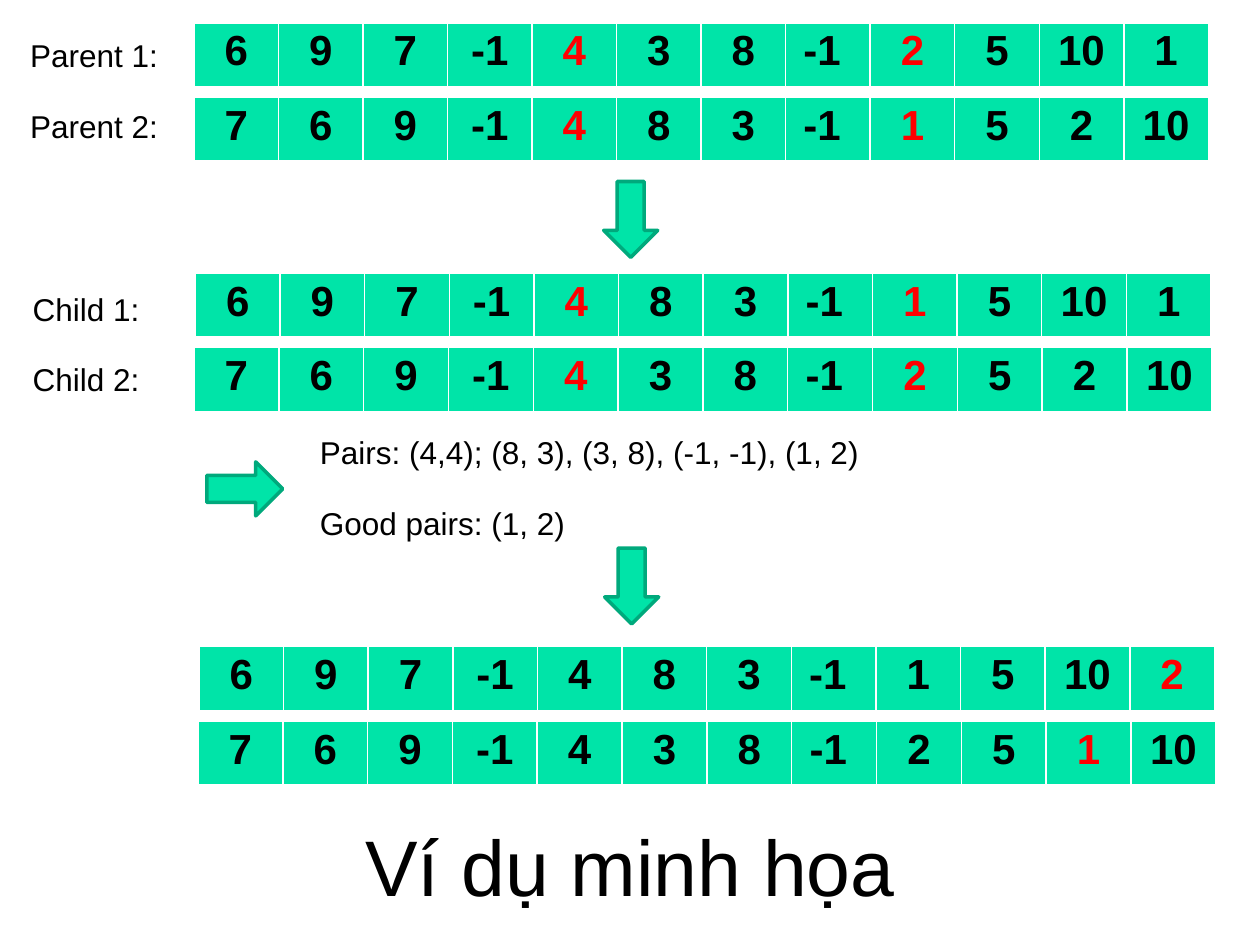
import pptx
import pptx.util
import pptx.dml.color
import pptx.enum.shapes
import pptx.enum.text
import lxml.etree
from pptx.util import Cm

HUES = {"mint": "00E4A8", "edge": "00A97C", "ink": "000000", "red": "FF0000", "white": "FFFFFF"}
FONT = "Arial"
NS = "http://schemas.openxmlformats.org/drawingml/2006/main"

TITLE = "Ví dụ minh họa"
ROWS = [
    (3.91, 0.46, 20.45, ["6", "9", "7", "-1", "4", "3", "8", "-1 ", "2", "5", "10", "1"], (4, 8)),
    (3.91, 1.96, 20.45, ["7", "6", "9", "-1", "4", "8", "3", "-1 ", "1", "5", "2", "10"], (4, 8)),
    (3.94, 5.51, 20.48, ["6", "9", "7", "-1", "4", "8", "3", "-1 ", "1", "5", "10", "1"], (4, 8)),
    (3.91, 7.01, 20.52, ["7", "6", "9", "-1", "4", "3", "8", "-1 ", "2", "5", "2", "10"], (4, 8)),
    (4.01, 13.03, 20.48, ["6", "9", "7", "-1", "4", "8", "3", "-1 ", "1", "5", "10", "2"], (11,)),
    (3.99, 14.54, 20.52, ["7", "6", "9", "-1", "4", "3", "8", "-1 ", "2", "5", "1", "10"], (10,)),
]
NOTES = [
    (0.36, 0.61, 7.62, ["Parent 1:", "Parent 2:"]),
    (0.41, 5.72, 7.62, ["Child 1:", "Child 2:"]),
    (6.2, 8.61, 13.03, ["Pairs: (4,4); (8, 3), (3, 8), (-1, -1), (1, 2)", "Good pairs: (1, 2)"]),
]
ARROWS = [(12.17, 3.66, 0), (4.39, 9.09, 270), (12.19, 11.05, 0)]
HIGH = 1.32
STEP = 1.42
EDGES = {"lnL": 1, "lnR": 1, "lnT": 1, "lnB": 3}


def hue(name):
    return pptx.dml.color.RGBColor.from_string(HUES[name])


def write(frame, text, size=18, color="ink", bold=False, align="LEFT", space=None):
    para = frame.paragraphs[0]
    para.alignment = getattr(pptx.enum.text.PP_ALIGN, align)
    para.line_spacing = space
    run = para.add_run()
    run.text = text
    run.font.name = FONT
    run.font.size = pptx.util.Pt(size)
    run.font.bold = bold
    run.font.color.rgb = hue(color)


def border(cell):
    props = cell._tc.get_or_add_tcPr()
    for tag, wide in EDGES.items():
        line = lxml.etree.SubElement(props, f"{{{NS}}}{tag}", w=str(pptx.util.Pt(wide)))
        fill = lxml.etree.SubElement(line, f"{{{NS}}}solidFill")
        lxml.etree.SubElement(fill, f"{{{NS}}}srgbClr", val=HUES["white"])


def strip(slide, left, top, wide, genes, marks):
    table = slide.shapes.add_table(1, len(genes), Cm(left), Cm(top), Cm(wide), Cm(HIGH)).table
    table.first_row = False
    table.horz_banding = False
    for spot, gene in enumerate(genes):
        cell = table.cell(0, spot)
        cell.margin_left = cell.margin_right = Cm(0.23)
        cell.margin_top = cell.margin_bottom = Cm(0.1)
        border(cell)
        cell.fill.solid()
        cell.fill.fore_color.rgb = hue("mint")
        color = "red" if spot in marks else "ink"
        write(cell.text_frame, gene, size=24, color=color, bold=True, align="CENTER")


def arrow(slide, left, top, turn):
    kind = pptx.enum.shapes.MSO_SHAPE.DOWN_ARROW
    shape = slide.shapes.add_shape(kind, Cm(left), Cm(top), Cm(1.09), Cm(1.53))
    shape.rotation = turn
    shape.shadow.inherit = False
    shape.fill.solid()
    shape.fill.fore_color.rgb = hue("mint")
    shape.line.color.rgb = hue("edge")
    shape.line.width = pptx.util.Pt(2)


def main():
    deck = pptx.Presentation()
    deck.slide_width, deck.slide_height = Cm(25.4), Cm(19.05)
    slide = deck.slides.add_slide(deck.slide_layouts[5])

    title = slide.shapes.title
    title.left, title.top, title.width, title.height = Cm(1.75), Cm(16.51), Cm(21.9), Cm(2.08)
    title.text_frame.vertical_anchor = pptx.enum.text.MSO_ANCHOR.MIDDLE
    write(title.text_frame, TITLE, size=45, align="CENTER", space=0.9)

    for row in ROWS:
        strip(slide, *row)
    for place in ARROWS:
        arrow(slide, *place)
    for left, top, wide, lines in NOTES:
        for turn, text in enumerate(lines):
            box = slide.shapes.add_textbox(Cm(left), Cm(top + turn * STEP), Cm(wide), Cm(1.02))
            box.text_frame.word_wrap = True
            box.text_frame.auto_size = pptx.enum.text.MSO_AUTO_SIZE.SHAPE_TO_FIT_TEXT
            write(box.text_frame, text)

    deck.save("out.pptx")


if __name__ == "__main__":
    main()
